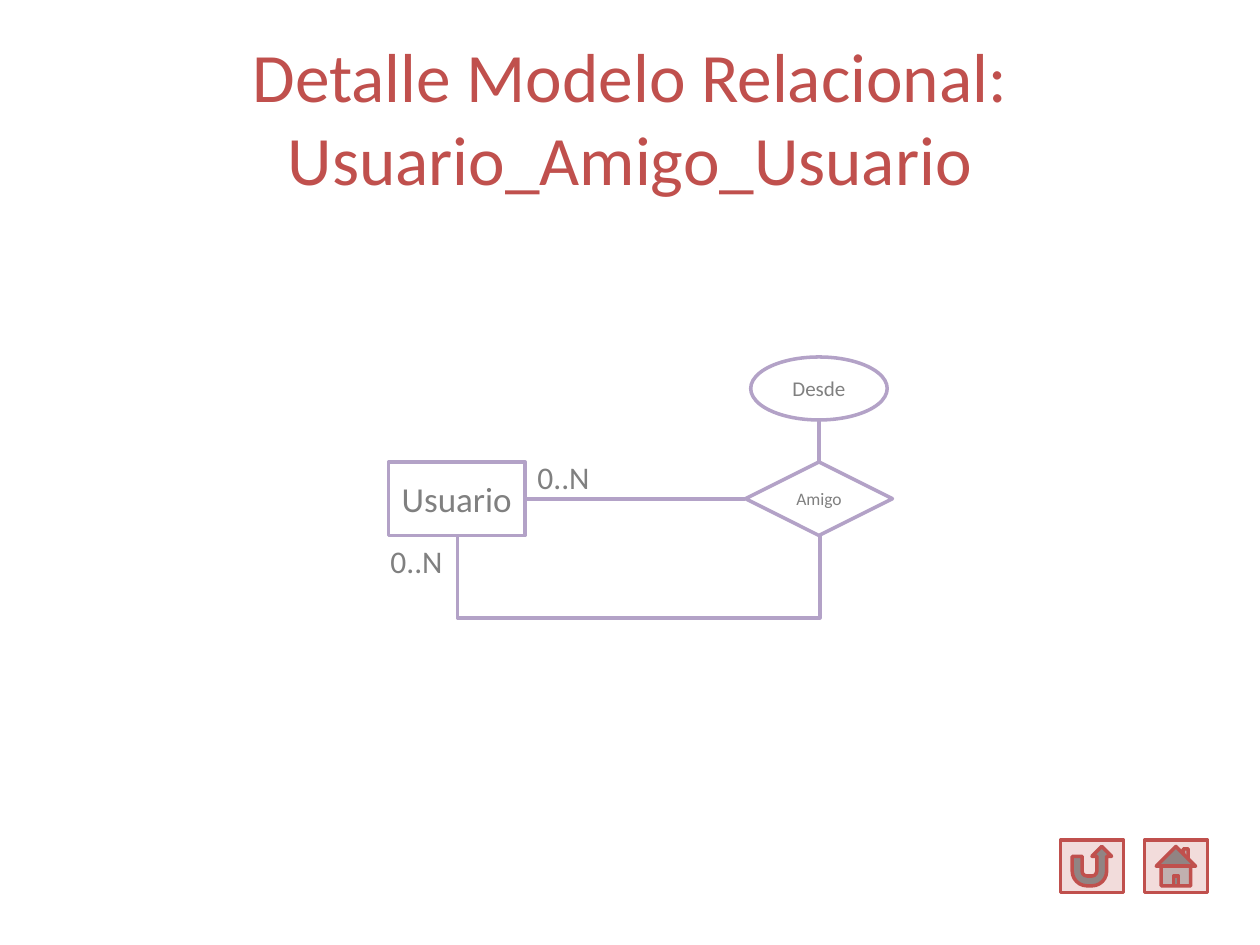
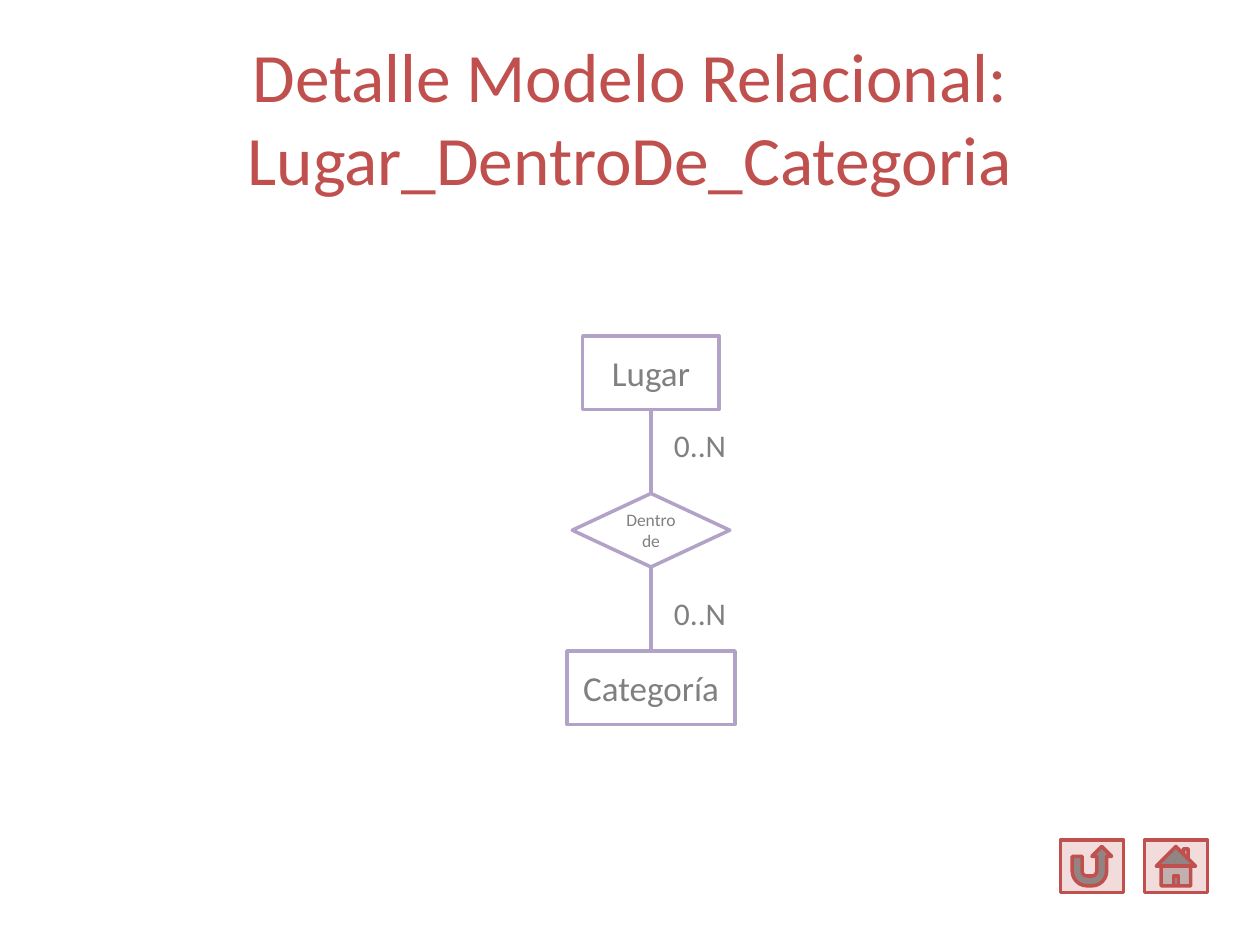
"""Builds two entity-relationship detail slides with a shared title style and navigation buttons."""
from lxml import etree
from pptx import Presentation
from pptx.dml.color import RGBColor
from pptx.enum.shapes import MSO_CONNECTOR, MSO_SHAPE
from pptx.enum.text import MSO_ANCHOR, PP_ALIGN
from pptx.oxml.ns import qn
from pptx.util import Pt

RECTANGLE = MSO_SHAPE.RECTANGLE
DIAMOND = MSO_SHAPE.DIAMOND
ELLIPSE = MSO_SHAPE.OVAL
HOME = MSO_SHAPE.ACTION_BUTTON_HOME
RETURN = MSO_SHAPE.ACTION_BUTTON_RETURN
STRAIGHT = MSO_CONNECTOR.STRAIGHT
ELBOW = MSO_CONNECTOR.ELBOW
CENTER, LEFT = PP_ALIGN.CENTER, PP_ALIGN.LEFT
MIDDLE, TOP_ANCHOR = MSO_ANCHOR.MIDDLE, MSO_ANCHOR.TOP
TOP_SIDE, LEFT_SIDE, BOTTOM_SIDE, RIGHT_SIDE = range(4)

FONT = "Calibri"
RED, PINK = "C0504D", "F2DCDB"
PURPLE, GRAY, WHITE = "B3A2C7", "808080", "FFFFFF"
LINE_WIDTH = Pt(2)
NODE_HEIGHT = 42

DIAGRAMS = [
    {
        "title": "Usuario_Amigo_Usuario",
        "nodes": {
            "Usuario": (RECTANGLE, 222, 264, 78, NODE_HEIGHT, 20),
            "Amigo": (DIAMOND, 426, 264, 84, NODE_HEIGHT, 10),
            "Desde": (ELLIPSE, 429, 204, 78, 36, 12),
        },
        "links": [
            ("Amigo", TOP_SIDE, "Desde", BOTTOM_SIDE),
            ("Usuario", RIGHT_SIDE, "Amigo", LEFT_SIDE),
        ],
        "loops": [("Amigo", "Usuario", 48)],
        "cardinalities": [(300, 258), (216, 306)],
    },
    {
        "title": "Lugar_DentroDe_Categoria",
        "nodes": {
            "Lugar": (RECTANGLE, 333, 192, 78, NODE_HEIGHT, 20),
            "Dentro de": (DIAMOND, 327, 282, 90, NODE_HEIGHT, 10),
            "Categoría": (RECTANGLE, 324, 372, 96, NODE_HEIGHT, 20),
        },
        "links": [
            ("Dentro de", TOP_SIDE, "Lugar", BOTTOM_SIDE),
            ("Categoría", TOP_SIDE, "Dentro de", BOTTOM_SIDE),
        ],
        "loops": [],
        "cardinalities": [(378, 240), (378, 336)],
    },
]


def color(hex_string):
    return RGBColor.from_string(hex_string)


def write(shape, text, size, hex_string, alignment, anchor):
    text_frame = shape.text_frame
    text_frame.word_wrap = True
    text_frame.vertical_anchor = anchor
    text_frame.text = text
    for paragraph in text_frame.paragraphs:
        paragraph.alignment = alignment
        for run in paragraph.runs:
            run.font.name = FONT
            run.font.size = Pt(size)
            run.font.color.rgb = color(hex_string)


presentation = Presentation()
presentation.slide_width, presentation.slide_height = Pt(720), Pt(540)
blank_layout = presentation.slide_layouts[6]

for diagram in DIAGRAMS:
    slide = presentation.slides.add_slide(blank_layout)
    title = slide.shapes.add_textbox(Pt(36), Pt(21.6), Pt(648), Pt(90))
    write(title, "Detalle Modelo Relacional:\v" + diagram["title"], 39.6, RED, CENTER, MIDDLE)

    nodes = {}
    outlined = []
    for name, (kind, left, top, width, height, size) in diagram["nodes"].items():
        node = slide.shapes.add_shape(kind, Pt(left), Pt(top), Pt(width), Pt(height))
        write(node, name, size, GRAY, CENTER, MIDDLE)
        nodes[name] = node
        outlined.append((node, WHITE, PURPLE))

    for kind, left in ((HOME, 654), (RETURN, 606)):
        button = slide.shapes.add_shape(kind, Pt(left), Pt(480), Pt(36), Pt(30))
        outlined.append((button, PINK, RED))

    for shape, fill, line in outlined:
        shape.shadow.inherit = False
        shape.fill.solid()
        shape.fill.fore_color.rgb = color(fill)
        shape.line.color.rgb = color(line)
        shape.line.width = LINE_WIDTH

    connectors = []
    for start, start_side, end, end_side in diagram["links"]:
        target = nodes[end]
        connector = slide.shapes.add_connector(
            STRAIGHT, 0, 0, target.left + target.width // 2, target.top + target.height)
        connector.begin_connect(nodes[start], start_side)
        if target.auto_shape_type != ELLIPSE:
            connector.end_connect(target, end_side)
        connectors.append(connector)

    for start, end, drop in diagram["loops"]:
        start_x, end_x = (nodes[name].left + nodes[name].width // 2 for name in (start, end))
        span = start_x - end_x
        middle_x = (start_x + end_x) // 2
        bottom = nodes[start].top + nodes[start].height
        connector = slide.shapes.add_connector(
            ELBOW, middle_x, bottom - span // 2, middle_x + Pt(1), bottom + span // 2)
        properties = connector._element.spPr
        properties.find(qn("a:xfrm")).set("rot", "5400000")
        adjustments = properties.find(qn("a:prstGeom")).get_or_add_avLst()
        etree.SubElement(adjustments, qn("a:gd"), name="adj1", fmla=f"val {drop * 100000}")
        connectors.append(connector)

    for connector in connectors:
        connector.line.color.rgb = color(PURPLE)
        connector.line.width = LINE_WIDTH
        etree.SubElement(connector._element.spPr, qn("a:effectLst"))

    for left, top in diagram["cardinalities"]:
        label = slide.shapes.add_textbox(Pt(left), Pt(top), Pt(48), Pt(29))
        write(label, "0..N", 18, GRAY, LEFT, TOP_ANCHOR)

presentation.save("out.pptx")
